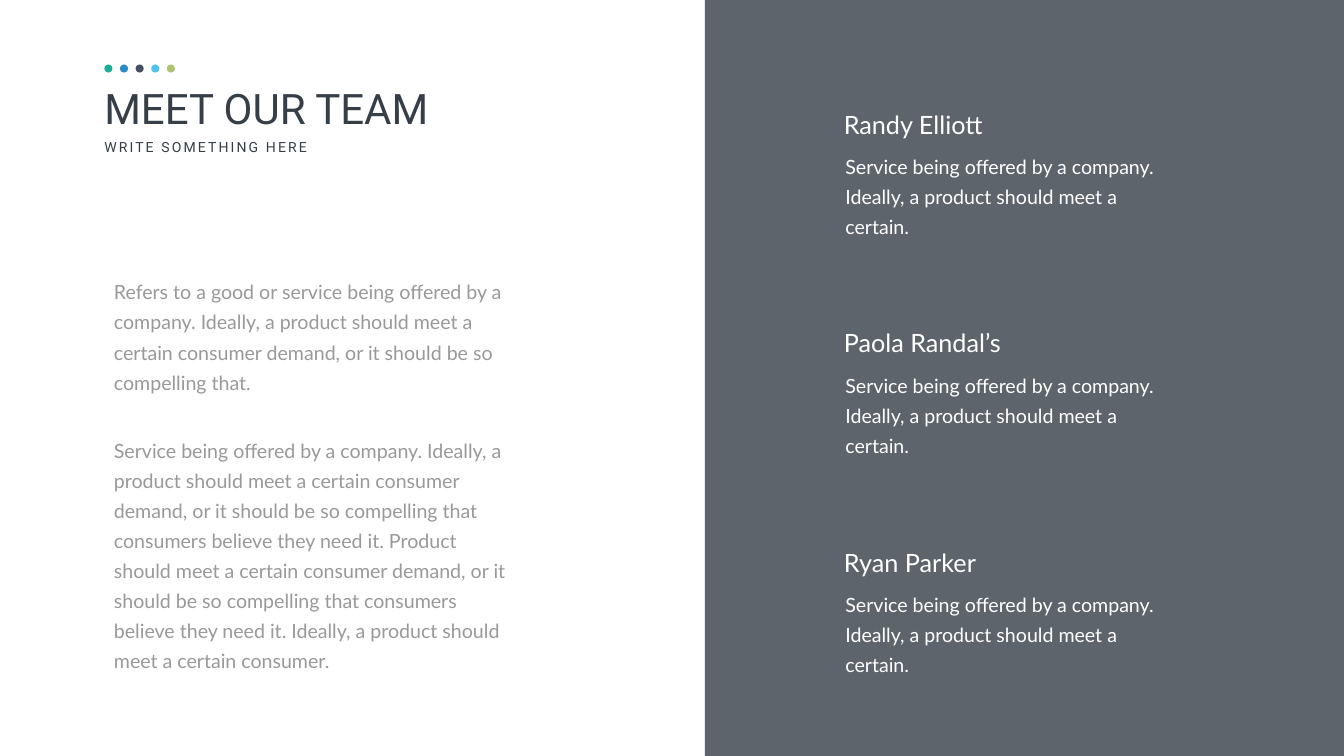
import pptx
import pptx.dml.color
import pptx.enum.shapes
import pptx.enum.text
import pptx.oxml
import pptx.oxml.ns
import pptx.util

Inches = pptx.util.Inches
Pt = pptx.util.Pt
SHAPES = pptx.enum.shapes.MSO_SHAPE

DARK = "363E48"
GREY = "999999"
WHITE = "FFFFFF"
DOT_COLORS = ["1CAD97", "2B8BC7", "425060", "4EC2F4", "AAC46F"]

INTRO = [
    "Refers to a good or service being offered by a company. Ideally, a product "
    "should meet a certain consumer demand, or it should be so compelling that.",
    "Service being offered by a company. Ideally, a product should meet a certain "
    "consumer demand, or it should be so compelling that consumers believe they "
    "need it. Product should meet a certain consumer demand, or it should be so "
    "compelling that consumers believe they need it. Ideally, a product should "
    "meet a certain consumer.",
]
SERVICE = "Service being offered by a company. Ideally, a product should meet a certain."
TEAM = [("Randy Elliott", 2.11), ("Paola Randal’s", 6.45), ("Ryan Parker", 10.8)]


def rgb(color):
    return pptx.dml.color.RGBColor.from_string(color)


def write(p, text, font="Lato", size=28, color=WHITE, spacing=None):
    r = p.add_run()
    r.text = text
    r.font.name = font
    r.font.size = Pt(size)
    r.font.color.rgb = rgb(color)
    if spacing:
        r.font._element.set("spc", str(spacing * 100))


class TeamSlide:
    heading_font = "Roboto"
    line_height = Pt(43)
    paragraph_gap = Pt(54)

    def __init__(self, prs):
        self.s = prs.slides.add_slide(prs.slide_layouts[6])

    def shape(self, kind, x, y, w, h, color, alpha=None):
        sp = self.s.shapes.add_shape(kind, Inches(x), Inches(y), Inches(w), Inches(h))
        sp.shadow.inherit = False
        sp.fill.solid()
        sp.fill.fore_color.rgb = rgb(color)
        sp.line.fill.background()
        if alpha:
            clr = sp._element.spPr.find(".//" + pptx.oxml.ns.qn("a:srgbClr"))
            ns = pptx.oxml.ns.nsdecls("a")
            clr.append(pptx.oxml.parse_xml(f'<a:alpha {ns} val="{alpha * 1000}"/>'))

    def frame(self, x, y, w, h):
        sp = self.s.shapes.add_textbox(Inches(x), Inches(y), Inches(w), Inches(h))
        tf = sp.text_frame
        tf.word_wrap = True
        tf.auto_size = pptx.enum.text.MSO_AUTO_SIZE.SHAPE_TO_FIT_TEXT
        return tf

    def label(self, x, y, w, h, text, **style):
        write(self.frame(x, y, w, h).paragraphs[0], text, **style)

    def body(self, x, y, w, h, texts, color):
        tf = self.frame(x, y, w, h)
        tf.margin_left = tf.margin_right = Inches(0.24)
        tf.margin_top = tf.margin_bottom = Inches(0.12)
        for i, text in enumerate(texts):
            p = tf.add_paragraph() if i else tf.paragraphs[0]
            p.line_spacing = self.line_height
            if i:
                p.space_before = self.paragraph_gap
            write(p, text, color=color)

    def heading(self, title, subtitle):
        self.label(1.97, 1.59, 8.34, 1.11, title,
                   font=self.heading_font, size=60, color=DARK)
        self.label(1.97, 2.7, 4.35, 0.44, subtitle,
                   font=self.heading_font, size=20, color=DARK, spacing=3)
        for i, color in enumerate(DOT_COLORS):
            self.shape(SHAPES.OVAL, 2.07 + 0.31 * i, 1.28, 0.16, 0.16, color)

    def member(self, name, top):
        self.body(16.53, top + 0.71, 7.17, 1.38, [SERVICE], WHITE)
        self.label(16.64, top, 3.97, 0.71, name, size=36)


def main():
    prs = pptx.Presentation()
    prs.slide_width = Inches(26.66)
    prs.slide_height = Inches(15)
    slide = TeamSlide(prs)
    slide.shape(SHAPES.RECTANGLE, 13.98, 0, 12.68, 15, DARK, alpha=80)
    slide.body(2.02, 5.31, 8.4, 8.3, INTRO, GREY)
    for name, top in TEAM:
        slide.member(name, top)
    slide.heading("MEET OUR TEAM", "WRITE SOMETHING HERE")
    prs.save("out.pptx")


if __name__ == "__main__":
    main()
